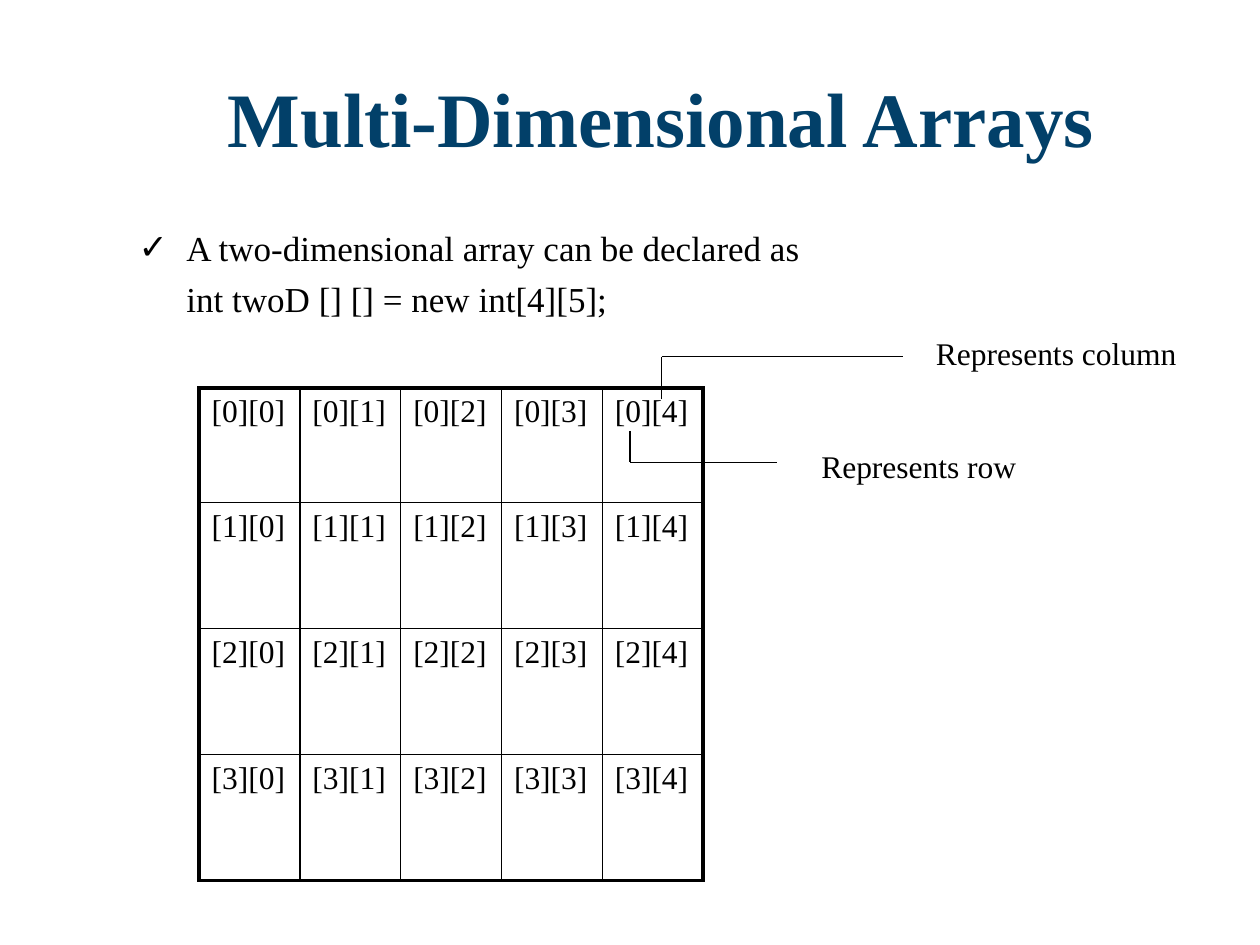
"""Build a slide that explains the layout of a two-dimensional array."""
from lxml import etree
from pptx import Presentation
from pptx.dml.color import RGBColor
from pptx.enum.shapes import MSO_CONNECTOR
from pptx.enum.text import MSO_ANCHOR, MSO_AUTO_SIZE, PP_ALIGN
from pptx.oxml.ns import qn
from pptx.util import Inches, Pt

STRAIGHT = MSO_CONNECTOR.STRAIGHT
MIDDLE, TOP = MSO_ANCHOR.MIDDLE, MSO_ANCHOR.TOP
CENTER, LEFT = PP_ALIGN.CENTER, PP_ALIGN.LEFT
NO_FIT = MSO_AUTO_SIZE.NONE

FONT = "Times New Roman"
COLORS = {"title": "024069", "ink": "000000"}
ROW_HEIGHTS = [0.91, 1, 1, 1]
COLUMNS, COLUMN_WIDTH = 5, 0.8
OUTER, INNER = 2.25, 1


def rgb(name):
    return RGBColor.from_string(COLORS[name])


def place(sp, left, top, width, height):
    sp.left, sp.top = Inches(left), Inches(top)
    sp.width, sp.height = Inches(width), Inches(height)


def style(p, size, color="ink", bold=False):
    for r in p.runs:
        r.font.name = FONT
        r.font.size = Pt(size)
        r.font.bold = bold
        r.font.color.rgb = rgb(color)


def fill_title(sp, text):
    place(sp, 1, 0.3, 8.5, 1.25)
    tf = sp.text_frame
    tf.text = text
    tf.vertical_anchor = MIDDLE
    tf.auto_size = NO_FIT
    p = tf.paragraphs[0]
    p.alignment = CENTER
    style(p, 44, "title", True)


def set_bullet(p, char, hang):
    pPr = p._p.get_or_add_pPr()
    pPr.set("marL", str(Inches(hang)))
    pPr.set("indent", str(-Inches(hang) if char else 0))
    if char:
        etree.SubElement(pPr, qn("a:buChar")).set("char", char)
    else:
        etree.SubElement(pPr, qn("a:buNone"))


def fill_body(sp, lines):
    place(sp, 1, 1.75, 7.75, 1.08)
    tf = sp.text_frame
    tf.vertical_anchor = TOP
    tf.auto_size = NO_FIT
    for i, (char, text) in enumerate(lines):
        p = tf.add_paragraph() if i else tf.paragraphs[0]
        p.text = text
        set_bullet(p, char, 0.38)
        p.alignment = LEFT
        p.space_before = Pt(5 if i else 0)
        style(p, 20)


def set_borders(cell, widths):
    tcPr = cell._tc.get_or_add_tcPr()
    for i, (side, width) in enumerate(widths.items()):
        ln = etree.Element(qn(f"a:ln{side}"), w=str(Pt(width)))
        fill = etree.SubElement(ln, qn("a:solidFill"))
        etree.SubElement(fill, qn("a:srgbClr")).set("val", COLORS["ink"])
        tcPr.insert(i, ln)


def add_index_table(slide, left, top):
    rows = len(ROW_HEIGHTS)
    table = slide.shapes.add_table(
        rows, COLUMNS, Inches(left), Inches(top),
        Inches(COLUMNS * COLUMN_WIDTH), Inches(sum(ROW_HEIGHTS))).table
    table.first_row = table.horz_banding = False
    for column in table.columns:
        column.width = Inches(COLUMN_WIDTH)
    for i, height in enumerate(ROW_HEIGHTS):
        table.rows[i].height = Inches(height)
        for j in range(COLUMNS):
            cell = table.cell(i, j)
            cell.text = f"[{i}][{j}]"
            style(cell.text_frame.paragraphs[0], 18)
            cell.fill.background()
            set_borders(cell, {
                "L": OUTER if j == 0 else INNER,
                "R": OUTER if j == COLUMNS - 1 else INNER,
                "T": OUTER if i == 0 else INNER,
                "B": OUTER if i == rows - 1 else INNER,
            })


def add_line(slide, x1, y1, x2, y2):
    line = slide.shapes.add_connector(
        STRAIGHT, Inches(x1), Inches(y1), Inches(x2), Inches(y2))
    line.line.color.rgb = rgb("ink")
    line.line.width = Pt(0.75)
    etree.SubElement(line._element.spPr, qn("a:effectLst"))


def add_callout(slide, text, points, left, top, width):
    for start, end in zip(points, points[1:]):
        add_line(slide, *start, *end)
    sp = slide.shapes.add_textbox(
        Inches(left), Inches(top), Inches(width), Inches(0.4))
    tf = sp.text_frame
    tf.word_wrap = True
    tf.text = text
    style(tf.paragraphs[0], 18)


def main():
    prs = Presentation()
    prs.slide_width, prs.slide_height = Inches(10), Inches(7.5)
    slide = prs.slides.add_slide(prs.slide_layouts[1])
    fill_title(slide.shapes.title, "Multi-Dimensional Arrays")
    fill_body(slide.placeholders[1], [
        ("✓", "A two-dimensional array can be declared as"),
        (None, "int twoD [] [] = new int[4][5];"),
    ])
    add_index_table(slide, 1.58, 3.08)
    add_callout(slide, "Represents row",
                [(5, 3.42), (5, 3.67), (6.17, 3.67)], 6.42, 3.5, 2.25)
    add_callout(slide, "Represents column",
                [(5.25, 3.17), (5.25, 2.83), (7.17, 2.83)], 7.33, 2.6, 2.42)
    prs.save("out.pptx")


if __name__ == "__main__":
    main()
